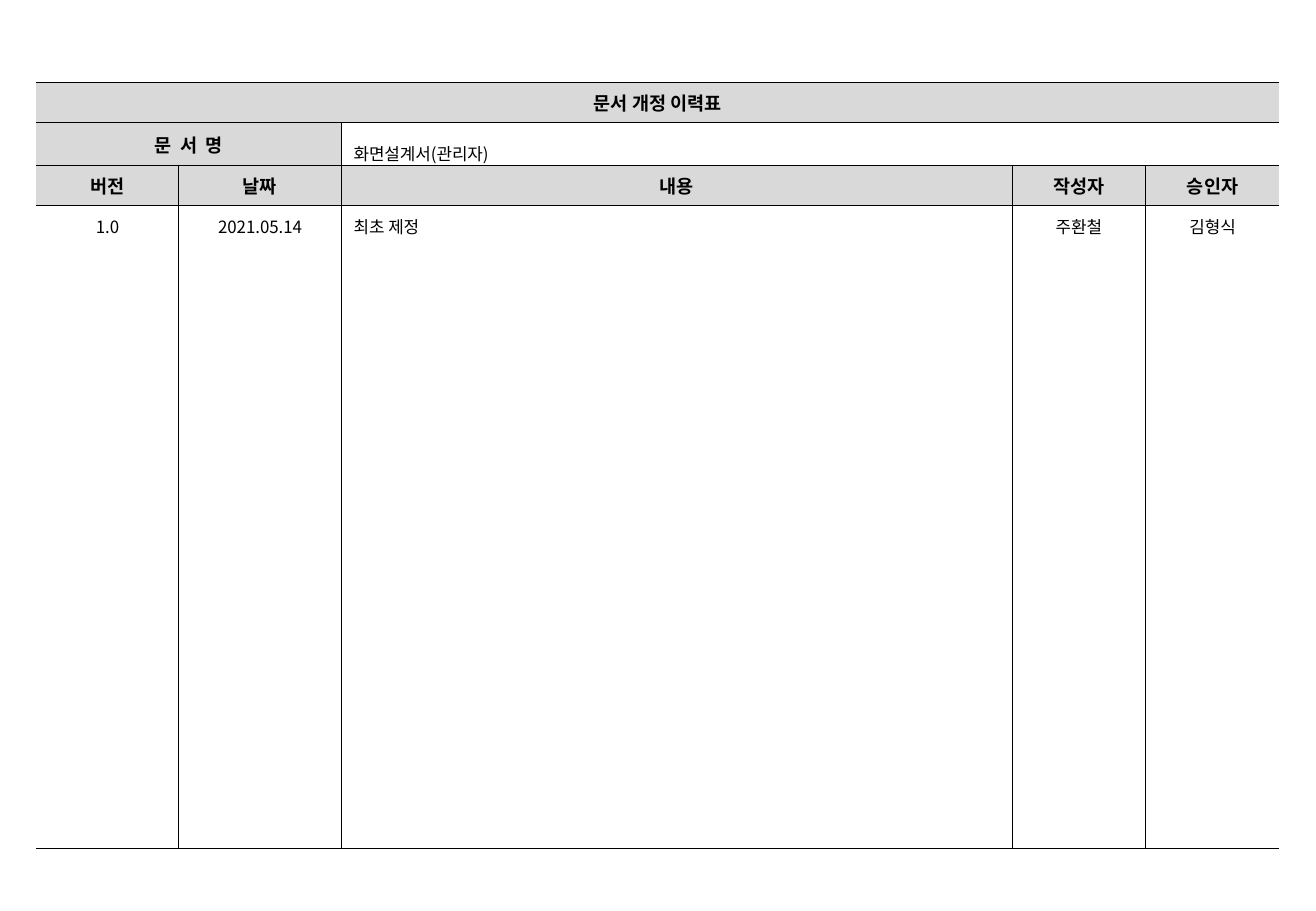
import pptx
import pptx.util
import pptx.dml.color
import pptx.enum.text
import pptx.oxml
import pptx.oxml.ns
from lxml import etree

Inches, Pt = pptx.util.Inches, pptx.util.Pt
ALIGN = pptx.enum.text.PP_ALIGN
BLACK = pptx.dml.color.RGBColor(0x00, 0x00, 0x00)
GREY = pptx.dml.color.RGBColor(0xD9, 0xD9, 0xD9)
FONT = "Noto Sans CJK KR"

# Content: (column, span, text, kind) for each written row
HISTORY = [
    [(0, 5, "문서 개정 이력표", "head")],
    [(0, 2, "문  서  명", "head"), (2, 3, "화면설계서(관리자)", "name")],
    [(col, 1, text, "head")
     for col, text in enumerate(["버전", "날짜", "내용", "작성자", "승인자"])],
    [(0, 1, "1.0", "body"), (1, 1, "2021.05.14", "body"),
     (2, 1, "최초 제정", "left"), (3, 1, "주환철", "body"), (4, 1, "김형식", "body")],
]
BLANK_ROWS = 16
WIDTHS = [1.17, 1.34, 5.52, 1.1, 1.1]
HEIGHTS = [0.33, 0.35, 0.33, 0.34] + [0.31] * BLANK_ROWS
HEADER_ROWS = 3
LAST = len(HEIGHTS) - 1


def add_border(cell, side, visible):
    line = etree.SubElement(cell._tc.get_or_add_tcPr(),
                            pptx.oxml.ns.qn("a:ln" + side), w=str(Pt(0.75)))
    if not visible:
        etree.SubElement(line, pptx.oxml.ns.qn("a:noFill"))
        return
    fill = etree.SubElement(line, pptx.oxml.ns.qn("a:solidFill"))
    etree.SubElement(fill, pptx.oxml.ns.qn("a:srgbClr"), val=str(BLACK))


def write(cell, text, kind):
    para = cell.text_frame.paragraphs[0]
    para.alignment = ALIGN.LEFT if kind in ("left", "name") else ALIGN.CENTER
    if kind == "name":
        para.line_spacing = 1.5
        cell.margin_bottom = 0
    span = para.add_run()
    span.text = text
    span.font.size = Pt(11 if kind == "head" else 10)
    span.font.bold = kind == "head"
    span.font.name = FONT
    span.font.color.rgb = BLACK
    east_asian = etree.SubElement(span.font._element, pptx.oxml.ns.qn("a:ea"))
    east_asian.set("typeface", FONT)


# Page
deck = pptx.Presentation()
deck.slide_width, deck.slide_height = Inches(10.83), Inches(7.5)
page = deck.slides.add_slide(deck.slide_layouts[6])

# Table grid
table = page.shapes.add_table(
    len(HEIGHTS), len(WIDTHS), Inches(0.3), Inches(0.68),
    Inches(sum(WIDTHS)), Inches(sum(HEIGHTS))).table
table.first_row = table.horz_banding = False
for column, width in zip(table.columns, WIDTHS):
    column.width = Inches(width)
for row, height in zip(table.rows, HEIGHTS):
    row.height = Inches(height)

# Cells: rules around the header rows, dividers only between columns
for r in range(len(HEIGHTS)):
    entries = HISTORY[r] if r < len(HISTORY) else [
        (col, 1, "", "body") for col in range(len(WIDTHS))]
    for col, width, text, kind in entries:
        cell = table.cell(r, col)
        if width > 1:
            cell.merge(table.cell(r, col + width - 1))
        for part in range(col, col + width):
            piece = table.cell(r, part)
            add_border(piece, "L", part == col > 0)
            add_border(piece, "R", col + width < len(WIDTHS))
            add_border(piece, "T", r <= HEADER_ROWS)
            add_border(piece, "B", r < HEADER_ROWS or r == LAST)
            if kind == "head":
                piece.fill.solid()
                piece.fill.fore_color.rgb = GREY
            else:
                piece.fill.background()
            piece.vertical_anchor = pptx.enum.text.MSO_ANCHOR.MIDDLE
            # Small end mark keeps empty rows at their set height
            mark = etree.SubElement(piece.text_frame.paragraphs[0]._p,
                                    pptx.oxml.ns.qn("a:endParaRPr"))
            mark.set("sz", "1000")
        if text:
            write(cell, text, kind)

deck.save("out.pptx")
